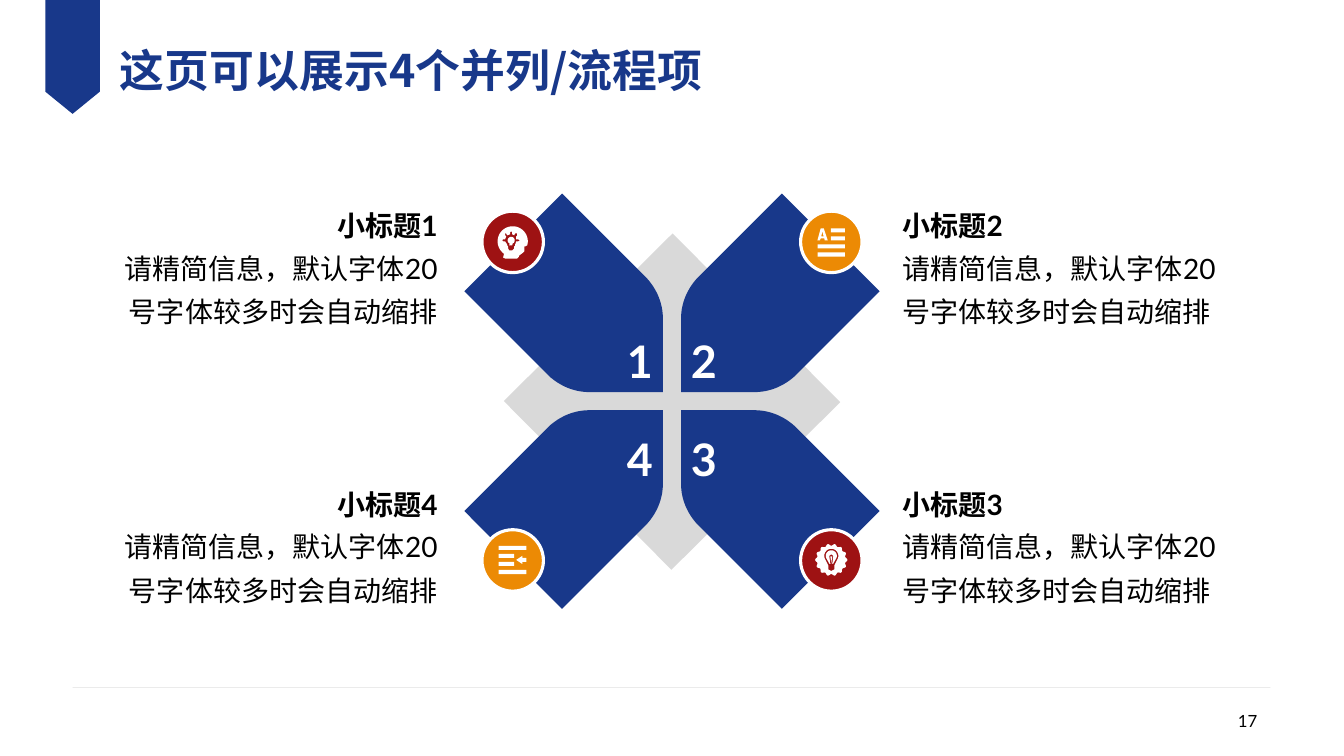
from math import cos, pi, radians, sin

from lxml import etree
from pptx import Presentation
from pptx.dml.color import RGBColor
from pptx.enum.shapes import MSO_CONNECTOR, MSO_SHAPE
from pptx.enum.text import MSO_ANCHOR, PP_ALIGN
from pptx.oxml.ns import qn
from pptx.util import Inches, Pt

LEFT, RIGHT = PP_ALIGN.LEFT, PP_ALIGN.RIGHT
TOP, MIDDLE, BOTTOM = MSO_ANCHOR.TOP, MSO_ANCHOR.MIDDLE, MSO_ANCHOR.BOTTOM
OVAL, RECTANGLE = MSO_SHAPE.OVAL, MSO_SHAPE.RECTANGLE
STRAIGHT = MSO_CONNECTOR.STRAIGHT

SLIDE_W, SLIDE_H = 13.33, 7.5
BLUE, RED, ORANGE = "18388A", "9E1213", "EC8A04"
WHITE, BLACK, GREY, RULE = "FFFFFF", "000000", "D9D9D9", "BFBFBF"
LATIN, CJK = "Lato", "Noto Sans CJK SC"
BODY = "请精简信息，默认字体20号字体较多时会自动缩排"


def paint(color_format, hex_color):
    color_format.rgb = RGBColor.from_string(hex_color)


def fill_plain(shape, color, outline=None):
    shape.shadow.inherit = False
    shape.fill.solid()
    paint(shape.fill.fore_color, color)
    if outline:
        paint(shape.line.color, outline)
        shape.line.width = Pt(2.25)
    else:
        shape.line.fill.background()


def write(shape, text, size=20, color=BLACK, bold=False, align=LEFT,
          anchor=MIDDLE, spacing=None, inset=(0, 0.05), font=LATIN):
    frame = shape.text_frame
    frame.word_wrap = True
    frame.vertical_anchor = anchor
    frame.margin_left = frame.margin_right = Inches(inset[0])
    frame.margin_top = frame.margin_bottom = Inches(inset[1])
    paragraph = frame.paragraphs[0]
    paragraph.alignment = align
    if spacing:
        paragraph.line_spacing = spacing
    run = paragraph.add_run()
    run.text = text
    run.font.name, run.font.size, run.font.bold = font, Pt(size), bold
    paint(run.font.color, color)
    east_asian = etree.SubElement(run.font._element, qn("a:ea"))
    east_asian.set("typeface", CJK)


def add_text(slide, box, text, **style):
    write(slide.shapes.add_textbox(*map(Inches, box)), text, **style)


def add_outline(slide, center, contours, color, unit=1.0):
    """Fill contours whose points are offsets from center, in units of inches."""
    cx, cy = center
    builder = None
    for contour in contours:
        points = [(Inches(cx + x * unit), Inches(cy + y * unit)) for x, y in contour]
        if builder is None:
            builder = slide.shapes.build_freeform(*points[0])
        else:
            builder.move_to(*points[0])
        builder.add_line_segments(points[1:], close=True)
    shape = builder.convert_to_shape()
    fill_plain(shape, color)
    return shape


# Curves and icon contours
def arc(cx, cy, radius, start, end, steps=30):
    angles = [radians(start + (end - start) * i / steps) for i in range(steps + 1)]
    return [(cx + radius * cos(a), cy + radius * sin(a)) for a in angles]


def bezier(a, b, c, d, steps=16):
    ts = [i / steps for i in range(steps + 1)]
    return [tuple((1 - t) ** 3 * p + 3 * t * (1 - t) ** 2 * q
                  + 3 * t * t * (1 - t) * r + t ** 3 * s
                  for p, q, r, s in zip(a, b, c, d)) for t in ts]


def bar(left, top, right):
    return [(left, top), (right, top), (right, top + 4), (left, top + 4)]


# Icon units are hundredths of an inch from the badge centre
HEAD_ICON = [
    arc(0, -0.5, 15, 15, -235) + [
        (-9.5, 15.5), (-7.5, 16.5), (4.5, 16.5), (6, 15), (6.5, 13.5),
        (10.5, 10.5), (11.5, 9.5), (11.5, 4.5), (12.5, 4.5)],
    [(5.5, -0.5), (3.5, -0.5), (2.5, 2.5), (2.5, 3.5), (1.5, 4.5), (1.5, 6.5),
     (-0.5, 8.5), (-3.5, 8.5), (-4.5, 6.5), (-4.5, 4.5), (-5.5, 3.5), (-5.5, 2.5),
     (-7.5, -0.5), (-9.5, -0.5), (-10.5, -1.5), (-9.5, -2.5), (-7.5, -2.5),
     (-6.5, -5.5), (-7.5, -6.5), (-7.5, -8.5), (-6.5, -8.5), (-5.5, -6.5),
     (-2.5, -7.5), (-2.5, -9.5), (-1.5, -10.5), (-0.5, -9.5), (-0.5, -7.5),
     (1.5, -6.5), (2.5, -8.5), (4.5, -8.5), (4.5, -6.5), (3.5, -5.5),
     (3.5, -2.5), (5.5, -2.5), (7, -1.5)],
    arc(-1.5, -1.5, 3.5, 65, -245) + [(-3.5, 3.5), (-0.5, 3.5)],
]
ARTICLE_ICON = [
    bar(-13.5, 10.5, 13.5), bar(-13.5, 2.5, 13.5),
    bar(-0.5, -5.5, 13.5), bar(-0.5, -13.5, 13.5),
    [(-10.5, -13.5), (-7.5, -13.5), (-3.5, -1.5), (-6.5, -1.5),
     (-7, -3.5), (-10.5, -3.5), (-11.3, -1.5), (-13.8, -1.5)],
    [(-8.8, -10.5), (-10, -5.5), (-7.6, -5.5)],
]
BULB_ICON = [
    [((15 + cos(i * pi / 4)) * cos(i * pi / 56), -0.5 + (15 + cos(i * pi / 4)) * sin(i * pi / 56))
     for i in range(112)],
    arc(0, -4.5, 7, 35, -215) + [(-3, 5), (-3, 9), (0, 10.5), (3, 9), (3, 5)],
    arc(0, -4.5, 5.5, 35, -215) + [(-1.8, 3.5), (1.8, 3.5)],
    [(-2, -4.5), (-1, 3.5), (1, 3.5), (2, -4.5), (0, -6)],
    [(-1, -4), (0, 2.5), (1, -4)],
]
INDENT_ICON = [
    bar(-14, 9.5, 13.5), bar(-14, 1.5, 1.5), bar(-14, -6.5, 1.5), bar(-14, -14.5, 13.5),
    [(9.5, -4.5), (9.5, -2.5), (13.5, -2.5), (13.5, 1.5), (9.5, 1.5), (9.5, 3.5), (3.5, -0.5)],
]

# Number, horizontal side, vertical side, badge colour, icon
ITEMS = [
    (1, -1, -1, RED, HEAD_ICON),
    (2, 1, -1, ORANGE, ARTICLE_ICON),
    (4, -1, 1, ORANGE, INDENT_ICON),
    (3, 1, 1, RED, BULB_ICON),
]


def add_header(slide, box):
    left, top, width, height = box
    middle = left + width / 2
    shoulder = 0.91
    ribbon = [(left, top), (left + width, top), (left + width, shoulder),
              (middle, top + height), (left, shoulder)]
    add_outline(slide, (0, 0), [ribbon], BLUE)
    add_text(slide, (left + width + 0.2, 0.26, 8.93, 0.86), "这页可以展示4个并列/流程项",
             size=32, color=BLUE, bold=True, inset=(0, 0), font=CJK)


def add_footer(slide, box):
    left, top, width, height = box
    ends = (left, top, left + width, top)
    rule = slide.shapes.add_connector(STRAIGHT, *map(Inches, ends))
    rule.line.width = Pt(0.25)
    paint(rule.line.color, RULE)
    color = rule._element.spPr.find(".//" + qn("a:srgbClr"))
    etree.SubElement(color, qn("a:alpha")).set("val", "47000")
    etree.SubElement(rule._element.spPr, qn("a:effectLst"))
    add_text(slide, (left + width - 3.03, top + 0.13, 3, height), "17",
             size=12, align=RIGHT, inset=(0.1, 0.05))


def add_petals(slide, center, gap=0.09):
    cx, cy = center
    side = 2.36
    box = (cx - side / 2, cy - side / 2 + 0.005, side, side)
    diamond = slide.shapes.add_shape(RECTANGLE, *map(Inches, box))
    diamond.rotation = 45.2
    fill_plain(diamond, GREY)

    shoulder = bezier((gap, 0.82), (gap, 0.97), (0.15, 1.11), (0.25, 1.22))
    edge = shoulder + [(1.09, 2.06)]
    petal = edge + [(y, x) for x, y in reversed(edge)] + [(gap, gap)]
    for number, sx, sy, _, _ in ITEMS:
        shape = add_outline(slide, center, [[(sx * x, sy * y) for x, y in petal]], BLUE)
        write(shape, str(number), size=32, color=WHITE, bold=True, spacing=1.3,
              align=RIGHT if sx < 0 else LEFT, anchor=BOTTOM if sy < 0 else TOP,
              inset=(0.1, 0.05))


def add_badges(slide, center, reach=1.58, size=0.61):
    for _, sx, sy, color, icon in ITEMS:
        x, y = center[0] + sx * reach, center[1] + sy * reach
        box = (x - size / 2, y - size / 2, size, size)
        badge = slide.shapes.add_shape(OVAL, *map(Inches, box))
        fill_plain(badge, color, outline=WHITE)
        add_outline(slide, (x, y), icon, WHITE, unit=0.01)


def add_captions(slide, box):
    left, top, right, bottom = box
    width = 3.35
    for number, sx, sy, _, _ in ITEMS:
        x = left if sx < 0 else right - width
        y = top if sy < 0 else bottom - 1.49
        align = RIGHT if sx < 0 else LEFT
        add_text(slide, (x, y, width, 0.51), f"小标题{number}", bold=True,
                 align=align, spacing=1.5)
        add_text(slide, (x, y + 0.36, width, 1.13), BODY, align=align, spacing=1.3)


def main():
    deck = Presentation()
    deck.slide_width, deck.slide_height = Inches(SLIDE_W), Inches(SLIDE_H)
    slide = deck.slides.add_slide(deck.slide_layouts[6])
    center = (SLIDE_W / 2, 3.98)
    add_footer(slide, (0.72, 6.82, 11.88, 0.4))
    add_header(slide, (0.45, 0, 0.54, 1.13))
    add_petals(slide, center)
    add_badges(slide, center)
    add_captions(slide, (0.99, 1.9, 12.3, 6.15))
    deck.save("out.pptx")


if __name__ == "__main__":
    main()
